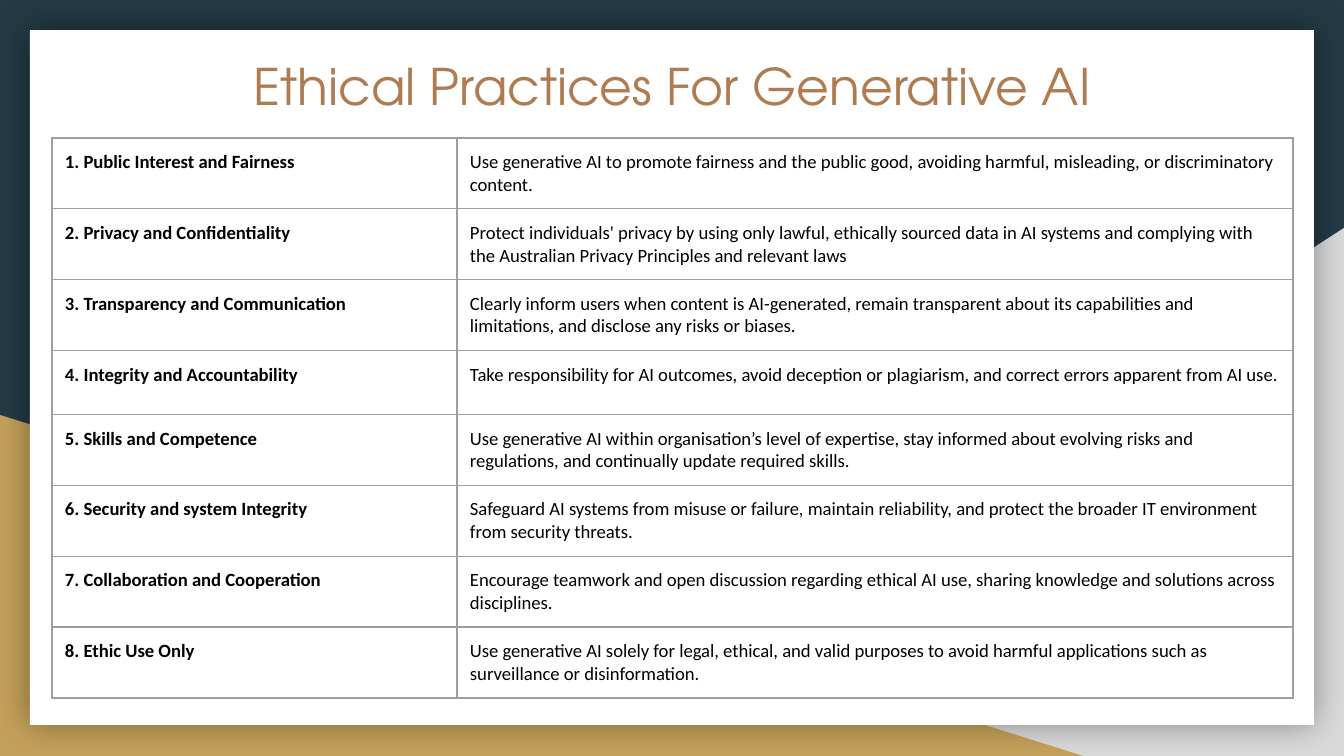
"""Build the slide on ethical practices for generative AI."""
from dataclasses import dataclass
from lxml.etree import SubElement as Sub
from pptx import Presentation
from pptx.dml.color import RGBColor as RGB
from pptx.enum.shapes import MSO_SHAPE as Shape
from pptx.enum.text import MSO_ANCHOR as Anchor, PP_ALIGN as Align
from pptx.oxml.ns import qn
from pptx.util import Emu, Pt

TITLE = "Ethical Practices For Generative AI"
ROWS = [
    ("Public Interest and Fairness",
     "Use generative AI to promote fairness and the public good, avoiding harmful, misleading, or discriminatory content."),
    ("Privacy and Confidentiality",
     "Protect individuals' privacy by using only lawful, ethically sourced data in AI systems and complying with the Australian Privacy Principles and relevant laws"),
    ("Transparency and Communication",
     "Clearly inform users when content is AI-generated, remain transparent about its capabilities and limitations, and disclose any risks or biases."),
    ("Integrity and Accountability",
     "Take responsibility for AI outcomes, avoid deception or plagiarism, and correct errors apparent from AI use."),
    ("Skills and Competence",
     "Use generative AI within organisation’s level of expertise, stay informed about evolving risks and regulations, and continually update required skills."),
    ("Security and system Integrity",
     "Safeguard AI systems from misuse or failure, maintain reliability, and protect the broader IT environment from security threats."),
    ("Collaboration and Cooperation",
     "Encourage teamwork and open discussion regarding ethical AI use, sharing knowledge and solutions across disciplines."),
    ("Ethic Use Only",
     "Use generative AI solely for legal, ethical, and valid purposes to avoid harmful applications such as surveillance or disinformation."),
]


@dataclass(frozen=True)
class Theme:
    navy: str = "233A44"
    grey: str = "D9D9D9"
    gold: str = "C4A15A"
    white: str = "FFFFFF"
    black: str = "000000"
    brown: str = "AF7B51"
    rule: str = "9E9E9E"
    head: str = "TeX Gyre Adventor"
    body: str = "Calibri"
    big: int = 27
    small: int = 10


T = Theme()
WIDE, HIGH = 1344, 756
COLS = (405, 836)
ROW = 64
PAD = 13
BACK = [
    (Shape.RIGHT_TRIANGLE, (527, 228, 817, 528), T.grey, True),
    (Shape.RIGHT_TRIANGLE, (0, 415, 1083, 341), T.gold, False),
    (Shape.RECTANGLE, (30, 30, 1284, 695), T.white, False),
]


def px(n):
    return Emu(round(n * 9144000 / WIDE))


def put(obj, **vals):
    for key, val in vals.items():
        setattr(obj, key, val)


def pad(obj):
    sides = ("left", "right", "top", "bottom")
    put(obj, **{f"margin_{side}": px(PAD) for side in sides})


def write(frame, text, face, size, color, bold=False):
    run = frame.paragraphs[0].add_run()
    run.text = text
    put(run.font, name=face, size=Pt(size), bold=bold)
    run.font.color.rgb = RGB.from_string(color)


def tint(parent, color):
    fill = Sub(parent, qn("a:solidFill"))
    return Sub(fill, qn("a:srgbClr"), val=color)


def block(slide, kind, box, color, flip):
    shape = slide.shapes.add_shape(kind, *map(px, box))
    shape.shadow.inherit = False
    shape.fill.solid()
    shape.fill.fore_color.rgb = RGB.from_string(color)
    shape.line.fill.background()
    if flip:
        shape.element.spPr.xfrm.set("flipH", "1")
    return shape


def glow(shape):
    effect = shape.element.spPr.find(qn("a:effectLst"))
    shade = Sub(effect, qn("a:outerShdw"), blurRad=str(Pt(18)), dist="0",
                dir="0", algn="ctr", rotWithShape="0")
    Sub(Sub(shade, qn("a:srgbClr"), val=T.black), qn("a:alpha"), val="40000")


def edge(cell):
    props = cell._tc.get_or_add_tcPr()
    for side in "LRTB":
        tint(Sub(props, qn(f"a:ln{side}"), w=str(Pt(0.75))), T.rule)


def grid(slide):
    size = (sum(COLS), ROW * len(ROWS))
    table = slide.shapes.add_table(len(ROWS), len(COLS), *map(px, (52, 138, *size))).table
    put(table, first_row=False, horz_banding=False)
    for col, wide in zip(table.columns, COLS):
        col.width = px(wide)
    for r, (name, rule) in enumerate(ROWS):
        table.rows[r].height = px(ROW)
        for c, text in enumerate((f"{r + 1}. {name}", rule)):
            cell = table.cell(r, c)
            edge(cell)
            cell.fill.background()
            pad(cell)
            write(cell.text_frame, text, T.body, T.small, T.black, c == 0)


def main():
    deck = Presentation()
    put(deck, slide_width=px(WIDE), slide_height=px(HIGH))
    slide = deck.slides.add_slide(deck.slide_layouts[6])
    slide.background.fill.solid()
    slide.background.fill.fore_color.rgb = RGB.from_string(T.navy)
    shapes = [block(slide, *part) for part in BACK]
    glow(shapes[-1])
    frame = slide.shapes.add_textbox(*map(px, (134, 42, 1076, 86))).text_frame
    put(frame, word_wrap=True, vertical_anchor=Anchor.MIDDLE)
    pad(frame)
    frame.paragraphs[0].alignment = Align.CENTER
    write(frame, TITLE, T.head, T.big, T.brown)
    grid(slide)
    deck.save("out.pptx")


if __name__ == "__main__":
    main()
